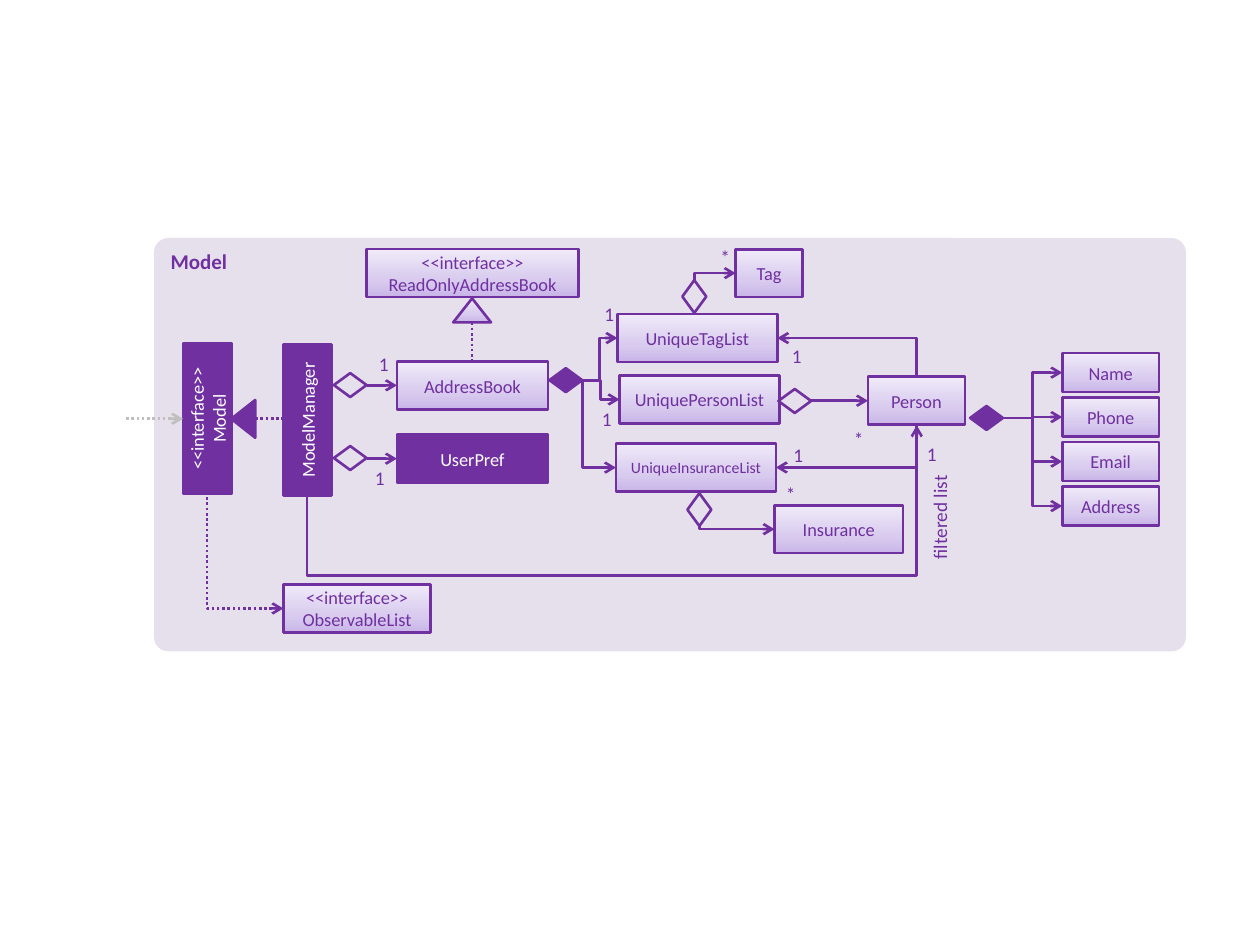
"""Build the Model component class diagram slide."""
import copy
import pptx
import pptx.util
import pptx.dml.color
import pptx.enum.dml
import pptx.enum.shapes
import pptx.enum.text
import pptx.oxml.ns
import pptx.oxml.xmlchemy

Pt = pptx.util.Pt
RGB = pptx.dml.color.RGBColor.from_string
qn = pptx.oxml.ns.qn
MSO = pptx.enum.shapes.MSO_SHAPE
CONN = pptx.enum.shapes.MSO_CONNECTOR
ALIGN = pptx.enum.text.PP_ALIGN
ANCHOR = pptx.enum.text.MSO_ANCHOR

THEME = {
    "font": "Calibri", "purple": "7030A0", "panel": "E6E0EC",
    "white": "FFFFFF", "grey": "BFBFBF",
    "gradient": [(0, "C9B5E8"), (0.35, "D8CBEE"), (1, "F0EAF9")],
    "title": 12, "label": 11, "box": 10.5, "small": 9, "line": 1.5,
}
PURPLE, WHITE, GRADIENT = THEME["purple"], THEME["white"], THEME["gradient"]
BOX_H = 27.4

prs = pptx.Presentation()
prs.slide_width, prs.slide_height = Pt(720), Pt(540)
shapes = prs.slides.add_slide(prs.slide_layouts[6]).shapes


def write(sp, text, size, color, align=ALIGN.CENTER, bold=None):
    tf = sp.text_frame
    tf.word_wrap = True
    tf.text = text
    for p in tf.paragraphs:
        p.alignment = align
        for r in p.runs:
            font = {"name": THEME["font"], "size": Pt(size), "bold": bold}
            for name, value in font.items():
                setattr(r.font, name, value)
            r.font.color.rgb = RGB(color)
    return tf


def add_shape(kind, x, y, w, h, fill=None, rot=0, line=PURPLE):
    sp = shapes.add_shape(kind, Pt(x), Pt(y), Pt(w), Pt(h))
    sp.shadow.inherit = False
    sp.rotation = rot
    if fill is None:
        sp.fill.background()
    elif fill is GRADIENT:
        sp.fill.gradient()
        sp.fill.gradient_angle = 90
        stops = sp._element.spPr.find(".//" + qn("a:gsLst"))
        stops.append(copy.deepcopy(stops[0]))
        for stop, (position, color) in zip(sp.fill.gradient_stops, GRADIENT):
            stop.position = position
            stop.color.rgb = RGB(color)
    else:
        sp.fill.solid()
        sp.fill.fore_color.rgb = RGB(fill)
    if line:
        sp.line.color.rgb = RGB(line)
        sp.line.width = Pt(THEME["line"])
    else:
        sp.line.fill.background()
    return sp


panel = add_shape(MSO.ROUNDED_RECTANGLE, 88, 136, 589.7, 236.2, THEME["panel"], line=None)
panel.adjustments[0] = 0.035
tf = write(panel, "Model", THEME["title"], PURPLE, ALIGN.LEFT, True)
tf.vertical_anchor = ANCHOR.TOP

boxes = [
    ("UserPref", 226.8, 248.4, 86.4, BOX_H, PURPLE, 0),
    ("ModelManager", 132.5, 226.2, 86.4, BOX_H, PURPLE, 270),
    ("<<interface>>\nModel", 75.4, 225.5, 86.4, BOX_H, PURPLE, 270),
    ("AddressBook", 226.8, 206.7, 86.4, BOX_H, GRADIENT, 0),
    ("<<interface>>\nReadOnlyAddressBook", 209.5, 142.3, 121, BOX_H, GRADIENT, 0),
    ("<<interface>>\nObservableList", 162, 334, 84.2, BOX_H, GRADIENT, 0),
    ("UniqueTagList", 352.8, 179.5, 91.4, BOX_H, GRADIENT, 0),
    ("UniquePersonList", 354, 214.6, 91.4, BOX_H, GRADIENT, 0),
    ("UniqueInsuranceList", 352, 253.5, 91.4, BOX_H, GRADIENT, 0),
    ("Person", 496, 215.3, 55.4, BOX_H, GRADIENT, 0),
    ("Tag", 420.4, 142.4, 38.2, BOX_H, GRADIENT, 0),
    ("Insurance", 442.6, 288.7, 73.4, BOX_H, GRADIENT, 0),
]
FIELD_X, FIELD_Y, FIELD_H, FIELD_STEP = 607, 201.8, 22.3, 25.4
fields = ["Name", "Phone", "Email", "Address"]
for i, name in enumerate(fields):
    boxes.append((name, FIELD_X, FIELD_Y + i * FIELD_STEP, 55.4, FIELD_H, GRADIENT, 0))
for text, x, y, w, h, fill, rot in boxes:
    sp = add_shape(MSO.RECTANGLE, x, y, w, h, fill, rot)
    size = THEME["small" if text == "UniqueInsuranceList" else "box"]
    tf = write(sp, text, size, WHITE if fill == PURPLE else PURPLE)
    tf.vertical_anchor = ANCHOR.MIDDLE

for x, y, fill, rot in [
    (190.8, 254.9, None, 0), (190.8, 213.2, None, 0), (314, 210.4, PURPLE, 0),
    (444.8, 222.3, None, 0), (387.4, 162.6, None, 270),
    (554.4, 232, PURPLE, 0), (390.3, 284.4, None, 270),
]:
    add_shape(MSO.FLOWCHART_DECISION, x, y, 18.7, 13.7, fill, rot)
for x, y, fill, rot in [(128.2, 232.5, PURPLE, 270), (259, 170.5, GRADIENT, 0)]:
    add_shape(MSO.ISOSCELES_TRIANGLE, x, y, 21.6, 13.7, fill, rot)

STRAIGHT, ELBOW, CORNER = "line", "bentConnector3", "bentConnector2"
ARROW_START, ARROW_END = "headEnd", "tailEnd"
lines = [
    (STRAIGHT, 209.5, 262.1, 226.8, 262.1, ARROW_END, None),
    (STRAIGHT, 209.5, 220.2, 226.8, 220.2, ARROW_END, None),
    (STRAIGHT, 72, 239.3, 104.6, 239.3, ARROW_END, THEME["grey"]),
    (STRAIGHT, 145.8, 239.3, 162.5, 239.3, None, PURPLE),
    (STRAIGHT, 269.8, 184.3, 269.8, 206.9, None, PURPLE),
    (STRAIGHT, 463.3, 229, 496, 229, ARROW_END, None),
    (ELBOW, 332.6, 217.3, 354, 228.3, ARROW_END, None),
    (ELBOW, 332.6, 217.3, 352.8, 193.2, ARROW_END, None),
    (CORNER, 352, 267.2, 332.8, 217.8, ARROW_START, None),
    (CORNER, 420.4, 156.1, 396.8, 160.3, ARROW_START, None),
    (CORNER, 442.6, 302.4, 399.7, 300.4, ARROW_START, None),
    (CORNER, 444.2, 193.2, 523.9, 215.3, ARROW_START, None),
    (CORNER, 443.4, 267.2, 523.9, 242.7, ARROW_START, None),
    (CORNER, 162, 347.7, 118.4, 282.2, ARROW_START, PURPLE),
    (ELBOW, 369.3, 437, 330, 88.6, ARROW_END, None),
]
for i in range(len(fields)):
    y = FIELD_Y + i * FIELD_STEP + FIELD_H / 2
    lines.append((ELBOW, 573.1, 238.9, FIELD_X, y, ARROW_END, None))
for kind, x1, y1, x2, y2, arrow, dotted in lines:
    conn = CONN.STRAIGHT if kind == STRAIGHT else CONN.ELBOW
    sp = shapes.add_connector(conn, Pt(x1), Pt(y1), Pt(x2), Pt(y2))
    spPr = sp._element.spPr
    spPr.find(qn("a:prstGeom")).set("prst", kind)
    sp.line.color.rgb = RGB(dotted or PURPLE)
    sp.line.width = Pt(THEME["line"])
    if dotted:
        sp.line.dash_style = pptx.enum.dml.MSO_LINE.ROUND_DOT
    if arrow:
        end = sp.line._get_or_add_ln().makeelement(qn("a:" + arrow), {"type": "arrow"})
        sp.line._get_or_add_ln().append(end)
    spPr.append(spPr.makeelement(qn("a:effectLst"), {}))
    if y1 == 437:
        spPr.find(qn("a:xfrm")).set("rot", "5400000")
        geom = spPr.find(qn("a:prstGeom"))
        guides = geom.find(qn("a:avLst"))
        guides.append(guides.makeelement(qn("a:gd"), {"name": "adj1", "fmla": "val -118200"}))

for text, x, y in [
    ("1", 340.6, 172.8), ("1", 339.1, 232.6), ("1", 447.8, 196.6), ("*", 406.8, 140.4),
    ("*", 483.1, 244.1), ("1", 211.7, 201.6), ("1", 209.5, 266.4), ("1", 524.9, 252.7),
    ("*", 444.2, 275.8), ("1", 448.6, 253.4),
]:
    sp = shapes.add_textbox(Pt(x), Pt(y), Pt(15.1), Pt(14.4))
    tf = write(sp, text, THEME["label"], PURPLE)
    for side in ("left", "top", "right", "bottom"):
        setattr(tf, "margin_" + side, 0)

sp = shapes.add_textbox(Pt(502.6), Pt(288.7), Pt(69.1), Pt(20.9))
sp.rotation = 270
tf = write(sp, "filtered list", THEME["label"], PURPLE, ALIGN.RIGHT)
tf.auto_size = pptx.enum.text.MSO_AUTO_SIZE.SHAPE_TO_FIT_TEXT

prs.save("out.pptx")
